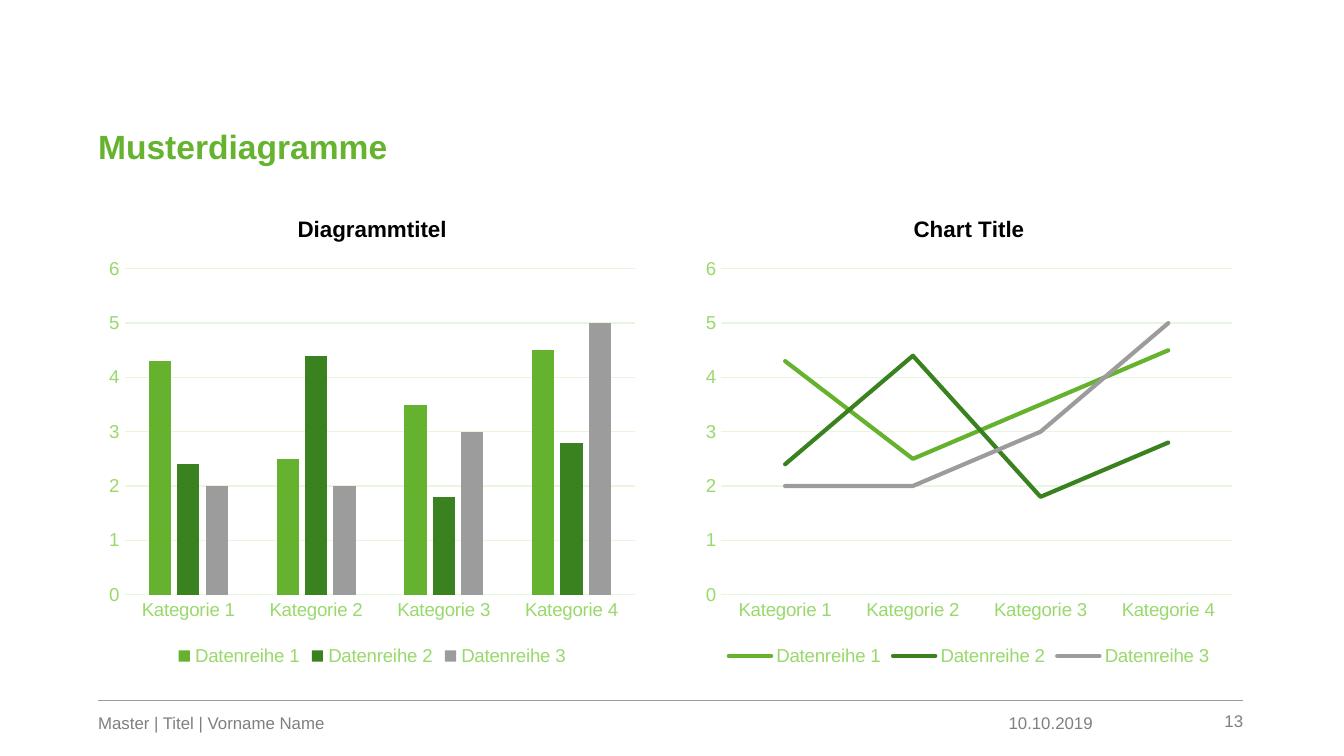
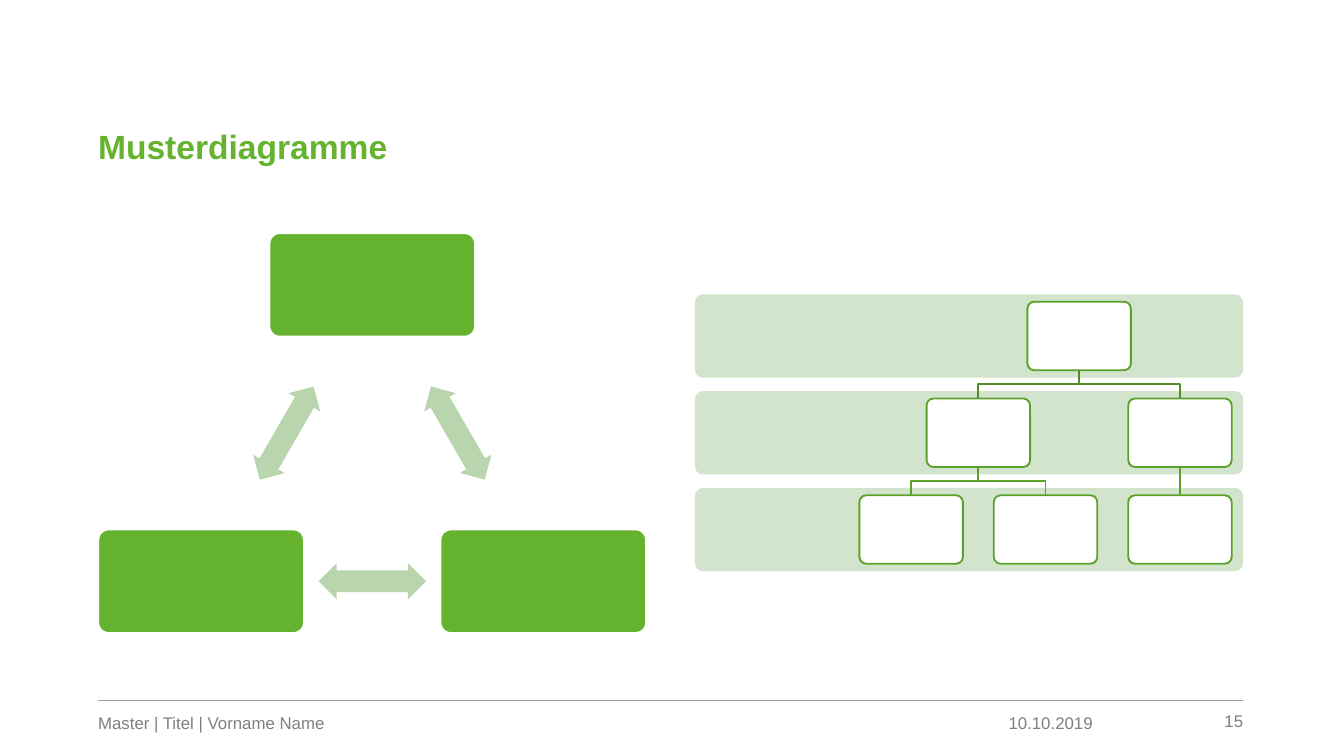
from math import cos, radians, sin

from lxml.etree import SubElement
from pptx import Presentation
from pptx.chart.data import CategoryChartData
from pptx.dml.color import RGBColor
from pptx.enum.chart import XL_CHART_TYPE, XL_LEGEND_POSITION, XL_TICK_MARK
from pptx.enum.shapes import MSO_CONNECTOR, MSO_SHAPE
from pptx.enum.text import MSO_ANCHOR, MSO_AUTO_SIZE, PP_ALIGN
from pptx.oxml.ns import qn
from pptx.util import Inches, Pt

# Content
TITLE = "Musterdiagramme"
AUTHOR = "Master | Titel | Vorname Name"
DATE = "10.10.2019"
CATEGORIES = [f"Kategorie {i}" for i in range(1, 5)]
SERIES = [
    ("Datenreihe 1", (4.3, 2.5, 3.5, 4.5), "65B22E"),
    ("Datenreihe 2", (2.4, 4.4, 1.8, 2.8), "3A8220"),
    ("Datenreihe 3", (2, 2, 3, 5), "9C9C9C"),
]
CHARTS = [
    ("Diagrammtitel", XL_CHART_TYPE.COLUMN_CLUSTERED),
    ("Chart Title", XL_CHART_TYPE.LINE),
]
# Children of each node, level by level from the top
TREE = [[(0, 1)], [(0, 1), (2,)]]
LEAVES = 3

# Style and page grid
FONT = "Arial"
GREEN, BOX, ARROW, BAND = "65B32E", "65B22E", "B8D5AD", "D3E4CD"
NODE_LINE, ROOT_LINK = "5CA22A", "518F25"
LABEL, GRID, GREY, FOOTER = "99D96C", "E7F6DD", "9C9C9C", "7F7F7F"
WHITE, BLACK = "FFFFFF", "000000"
LEFT, RIGHT, RULE_Y = 0.73, 9.25, 5.21
COL_W, COL_X = 4.08, (LEFT, RIGHT - 4.08)


def rgb(value):
    return RGBColor.from_string(value)


def set_font(font, size, color, bold=False):
    font.name, font.size, font.bold = FONT, Pt(size), bold
    font.color.rgb = rgb(color)


def set_line(line, color, width):
    line.color.rgb = rgb(color)
    line.width = Pt(width)


def place(shape, x, y, w, h):
    shape.left, shape.top, shape.width, shape.height = map(Inches, (x, y, w, h))


def write(shape, text, size, color, bold=False, align=PP_ALIGN.LEFT):
    tf = shape.text_frame
    tf.margin_left = tf.margin_top = tf.margin_right = tf.margin_bottom = 0
    tf.word_wrap, tf.auto_size = True, MSO_AUTO_SIZE.NONE
    tf.vertical_anchor = MSO_ANCHOR.BOTTOM
    p = tf.paragraphs[0]
    p.text, p.alignment = text, align
    set_font(p.font, size, color, bold)
    return p


def add_line(shapes, x1, y1, x2, y2, color, width):
    line = shapes.add_connector(MSO_CONNECTOR.STRAIGHT, *map(Inches, (x1, y1, x2, y2)))
    set_line(line.line, color, width)
    SubElement(line._element.spPr, qn("a:effectLst"))
    return line


def add_centred(shapes, kind, cx, cy, w, h, fill, line=None, adjust=(0.1,)):
    sp = shapes.add_shape(kind, *map(Inches, (cx - w / 2, cy - h / 2, w, h)))
    for i, value in enumerate(adjust):
        sp.adjustments[i] = value
    sp.shadow.inherit = False
    sp.fill.solid()
    sp.fill.fore_color.rgb = rgb(fill)
    if line:
        set_line(sp.line, line, 1)
    else:
        sp.line.fill.background()
    return sp


def new_slide(prs, number):
    s = prs.slides.add_slide(prs.slide_layouts[5])
    place(s.shapes.title, LEFT, 0.41, RIGHT - LEFT, 0.83)
    write(s.shapes.title, TITLE, 18, GREEN, bold=True).line_spacing = 0.9
    add_line(s.shapes, RIGHT, RULE_Y, LEFT, RULE_Y, GREY, 0.5)
    for text, x, w, h, align in (
        (AUTHOR, LEFT, 4.82, 0.24, PP_ALIGN.LEFT),
        (DATE, 7.02, 1.11, 0.24, PP_ALIGN.RIGHT),
        (str(number), 8.49, RIGHT - 8.49, 0.23, PP_ALIGN.RIGHT),
    ):
        box = s.shapes.add_textbox(*map(Inches, (x, RULE_Y, w, h)))
        write(box, text, 9, FOOTER, align=align)
    return s


def add_chart(s, title, kind, x):
    data = CategoryChartData()
    data.categories = CATEGORIES
    for name, values, _ in SERIES:
        data.add_series(name, values)
    chart = s.shapes.add_chart(kind, *map(Inches, (x, 1.45, COL_W, 3.55)), data).chart
    set_font(chart.font, 10, GREEN)

    # Title and legend
    chart.has_title = True
    p = chart.chart_title.text_frame.paragraphs[0]
    p.text = title
    set_font(p.font, 12, BLACK, bold=True)
    chart.chart_title.include_in_layout = False
    chart.has_legend = True
    chart.legend.position = XL_LEGEND_POSITION.BOTTOM
    chart.legend.include_in_layout = False
    set_font(chart.legend.font, 10, LABEL)

    # Axes
    category, value = chart.category_axis, chart.value_axis
    for axis in (category, value):
        axis.major_tick_mark = axis.minor_tick_mark = XL_TICK_MARK.NONE
        set_font(axis.tick_labels.font, 10, LABEL)
    set_line(category.format.line, GRID, 0.75)
    value.format.line.fill.background()
    value.minimum_scale, value.maximum_scale, value.major_unit = 0, 6, 1
    value.has_major_gridlines = True
    set_line(value.major_gridlines.format.line, GRID, 0.75)

    # Series
    plot = chart.plots[0]
    plot.vary_by_categories = False
    is_line = kind == XL_CHART_TYPE.LINE
    if not is_line:
        plot.gap_width, plot.overlap = 219, -27
    for series, (_, _, color) in zip(plot.series, SERIES):
        if is_line:
            series.smooth = False
            set_line(series.format.line, color, 2.25)
            series._element.spPr.find(qn("a:ln")).set("cap", "rnd")
        else:
            series.format.fill.solid()
            series.format.fill.fore_color.rgb = rgb(color)


def add_cycle(s):
    """Three boxes on a circle, with a double arrow halfway between neighbours."""
    shapes = s.shapes.add_group_shape().shapes
    cx, cy, radius = LEFT + COL_W / 2, 3.59, 1.47
    angles = [radians(120 * i - 90) for i in range(3)]
    centres = [(cx + radius * cos(a), cy + radius * sin(a)) for a in angles]
    for i, (x, y) in enumerate(centres):
        add_centred(shapes, MSO_SHAPE.ROUNDED_RECTANGLE, x, y, 1.53, 0.77, BOX, WHITE)
        next_x, next_y = centres[(i + 1) % 3]
        arrow = add_centred(shapes, MSO_SHAPE.LEFT_RIGHT_ARROW, (x + next_x) / 2,
                            (y + next_y) / 2, 0.8, 0.27, ARROW, adjust=(0.6, 0.5))
        arrow.rotation = 60 + 120 * i


def add_elbow(shapes, x1, y1, x2, y2, color):
    mid = (y1 + y2) / 2
    path = shapes.build_freeform(Inches(x1), Inches(y1))
    path.add_line_segments(
        [(Inches(x), Inches(y)) for x, y in ((x1, mid), (x2, mid), (x2, y2))], close=False)
    link = path.convert_to_shape()
    link.shadow.inherit = False
    link.fill.background()
    set_line(link.line, color, 1)


def add_tree(s):
    """Nodes on three bands; each parent is centred over its children."""
    shapes = s.shapes.add_group_shape().shapes
    node_w, node_h, pitch, top_y = 0.77, 0.51, 0.72, 2.5
    rows = [[6.78 + i for i in range(LEAVES)]]
    for level in reversed(TREE):
        rows.insert(0, [sum(rows[0][c] for c in kids) / len(kids) for kids in level])
    row_y = [top_y + pitch * i for i in range(len(rows))]

    for y in row_y:
        add_centred(shapes, MSO_SHAPE.ROUNDED_RECTANGLE, COL_X[1] + COL_W / 2, y,
                    COL_W, 0.62, BAND)
    nodes = [[add_centred(shapes, MSO_SHAPE.ROUNDED_RECTANGLE, x, y, node_w, node_h,
                          WHITE, NODE_LINE) for x in row]
             for row, y in zip(rows, row_y)]

    for depth, level in enumerate(TREE):
        color = NODE_LINE if depth else ROOT_LINK
        y1, y2 = row_y[depth] + node_h / 2, row_y[depth + 1] - node_h / 2
        for parent, kids in enumerate(level):
            x1 = rows[depth][parent]
            for kid in kids:
                x2 = rows[depth + 1][kid]
                if len(kids) > 1:
                    add_elbow(shapes, x1, y1, x2, y2, color)
                else:
                    link = add_line(shapes, x1, y1, x2, y2, color, 1)
                    link.begin_connect(nodes[depth][parent], 2)
                    link.end_connect(nodes[depth + 1][kid], 0)


def main():
    prs = Presentation()
    prs.slide_width, prs.slide_height = Inches(10), Inches(10 * 9 / 16)

    # Charts
    s = new_slide(prs, 13)
    for (title, kind), x in zip(CHARTS, COL_X):
        add_chart(s, title, kind, x)

    # Cycle and hierarchy
    s = new_slide(prs, 15)
    add_cycle(s)
    add_tree(s)

    prs.save("out.pptx")


if __name__ == "__main__":
    main()
